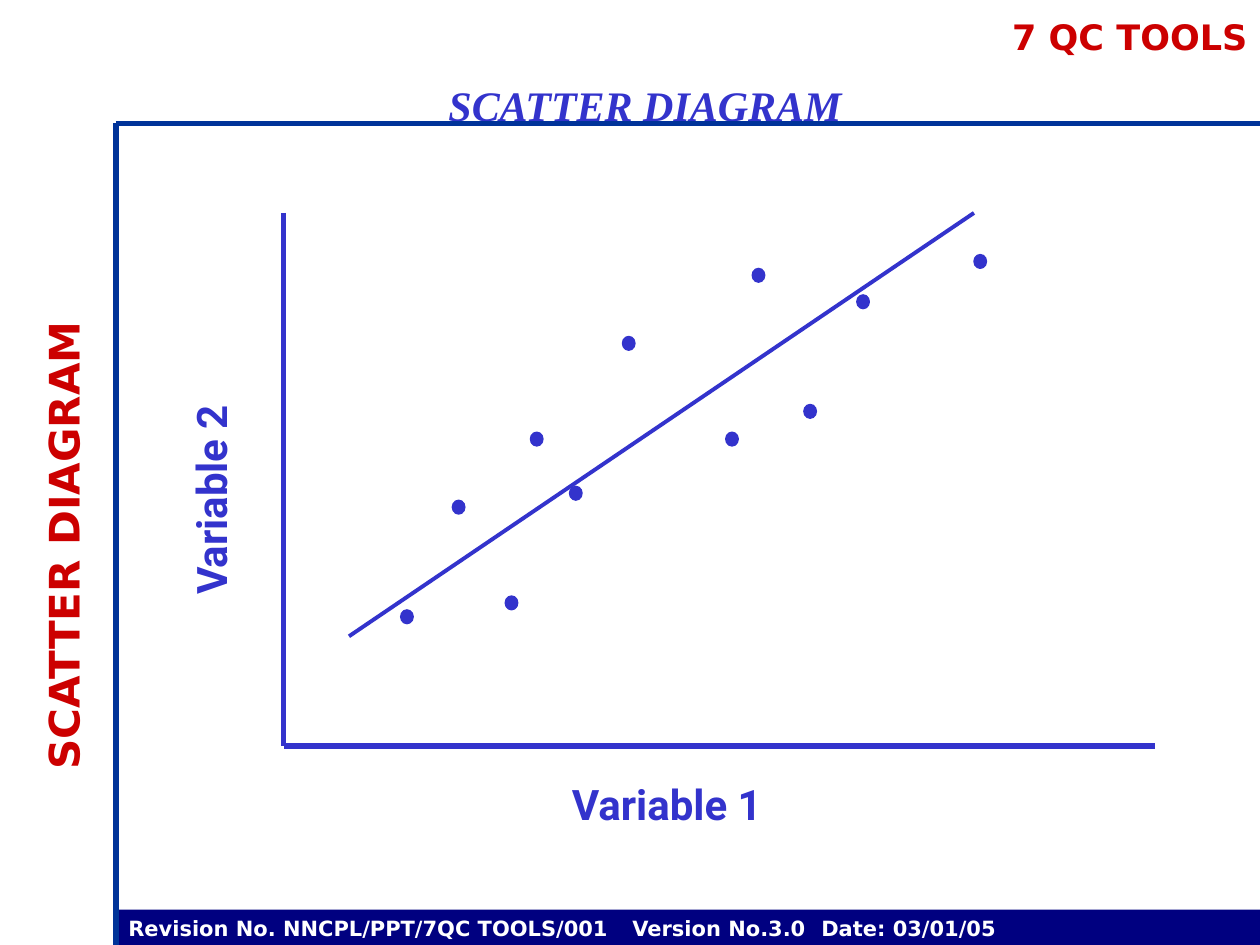
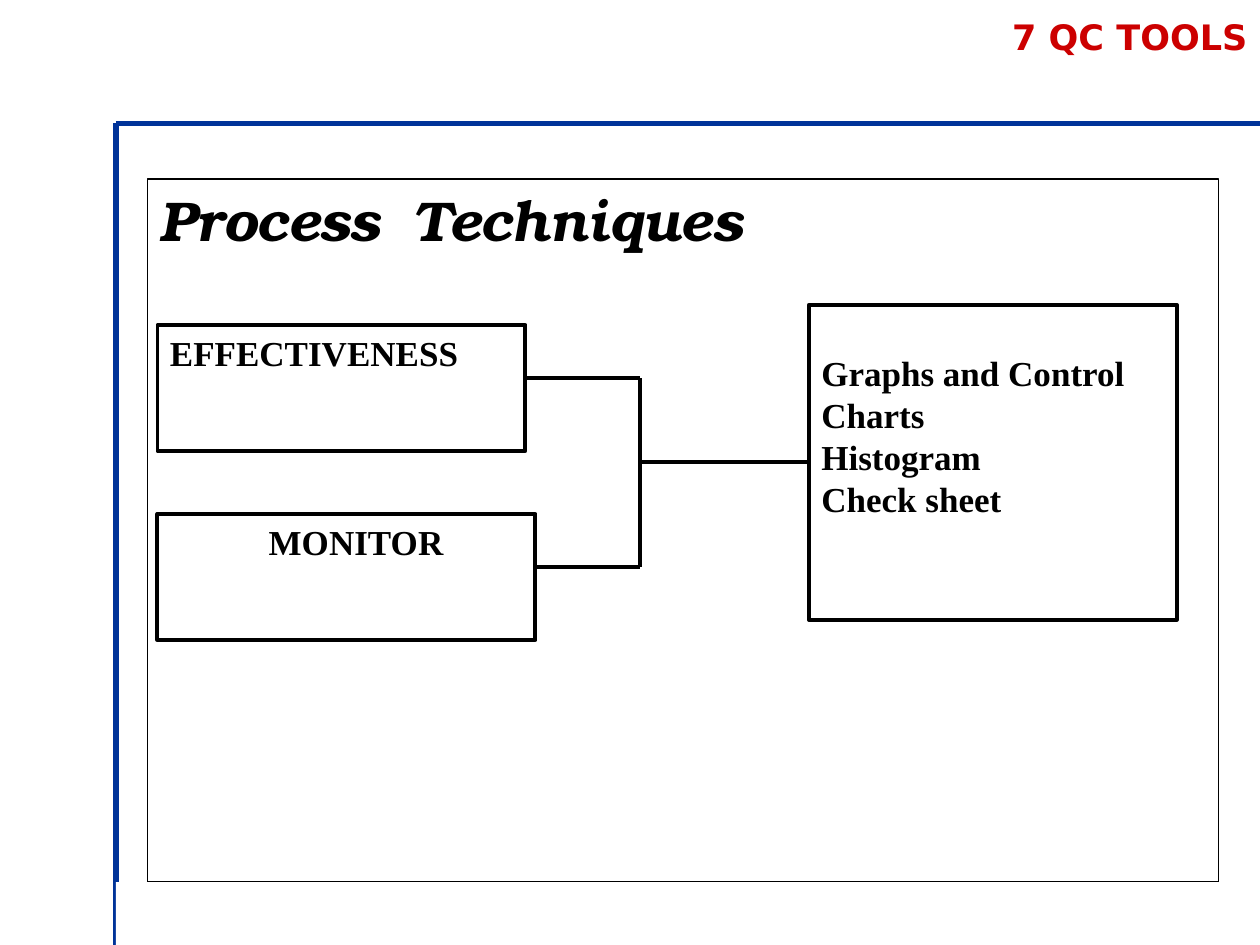
from lxml.etree import SubElement
from pptx import Presentation
from pptx.dml.color import RGBColor
from pptx.enum.shapes import MSO_CONNECTOR, MSO_SHAPE
from pptx.enum.text import MSO_ANCHOR, MSO_AUTO_SIZE, PP_ALIGN
from pptx.oxml.ns import qn
from pptx.util import Pt

PX = 9144  # 100 px to the inch
NAVY, FRAME, RED, BLUE = "000080", "003399", "CC0000", "3333CC"
BLACK, WHITE = "000000", "FFFFFF"
SANS, SERIF, LABEL, HEAD = "DejaVu Sans", "Times New Roman", "Roboto", "TeX Gyre Bonum"
EDGE, TOP, WIDE = 92, 98, 908
LEFT, MID, RIGHT = PP_ALIGN.LEFT, PP_ALIGN.CENTER, PP_ALIGN.RIGHT


def rgb(code):
    return RGBColor.from_string(code)


def emu(*nums):
    return [num * PX for num in nums]


def write(shape, lines, size, font, color, align=LEFT, italic=False,
          tabs=(), left=10, top=5):
    """Fill a shape with bold lines; tabs are px from the text edge."""
    frame = shape.text_frame
    frame.word_wrap = True
    frame.auto_size = MSO_AUTO_SIZE.NONE
    frame.vertical_anchor = MSO_ANCHOR.TOP
    frame.margin_left, frame.margin_top = emu(left, top)
    frame.margin_right, frame.margin_bottom = emu(10, 5)
    for num, line in enumerate(lines):
        para = frame.add_paragraph() if num else frame.paragraphs[0]
        props = para._p.get_or_add_pPr()
        props.set("marL", "0")
        props.set("indent", "0")
        SubElement(props, qn("a:buNone"))
        if tabs:
            stops = SubElement(props, qn("a:tabLst"))
            for tab in tabs:
                SubElement(stops, qn("a:tab"), pos=str(tab * PX), algn="l")
        para.alignment = align
        para.space_before = Pt(0)
        run = para.add_run()
        run.text = line
        face = run.font
        face.name, face.size, face.bold, face.italic = font, Pt(size), True, italic
        face.color.rgb = rgb(color)


def place(shape, box):
    shape.left, shape.top, shape.width, shape.height = emu(*box)


def label(slide, box, text, *style, turn=0, **more):
    shape = slide.shapes.add_textbox(*emu(*box))
    shape.rotation = turn
    write(shape, [text], *style, **more)


def block(slide, box, fill, line=None, weight=2.25, kind=MSO_SHAPE.RECTANGLE):
    shape = slide.shapes.add_shape(kind, *emu(*box))
    shape.shadow.inherit = False
    shape.fill.solid()
    shape.fill.fore_color.rgb = rgb(fill)
    if line:
        shape.line.color.rgb = rgb(line)
        shape.line.width = Pt(weight)
    else:
        shape.line.fill.background()
    return shape


def rule(slide, start, end, color, weight):
    line = slide.shapes.add_connector(MSO_CONNECTOR.STRAIGHT, *emu(*start, *end))
    line.line.color.rgb = rgb(color)
    line.line.width = Pt(weight)
    SubElement(line._element.spPr, qn("a:effectLst"))
    return line


def frame(slide):
    for end in ((EDGE, 757), (EDGE + WIDE, TOP)):
        rule(slide, (EDGE, TOP), end, FRAME, 3)
    label(slide, (775, 7, 225, 44), "7 QC TOOLS", 20, SANS, RED, RIGHT)


def footer(slide, box):
    text = "Revision No. NNCPL/PPT/7QC TOOLS/001\tVersion No.3.0\tDate: 03/01/05"
    write(block(slide, box, NAVY), [text], 12, SANS, WHITE, tabs=(426, 610))


def plot(slide, box):
    """Axes, dots, trend line and axis names of the scatter."""
    x, y, w, h = box
    base = (x, y + h)
    rule(slide, (x, y), base, BLUE, 3)
    rule(slide, base, (x + w, y + h), BLUE, 3)
    dots = [(93, 315), (134, 228), (176, 304), (196, 174), (227, 217), (269, 98),
            (351, 174), (372, 44), (413, 152), (455, 65), (548, 33)]
    for dx, dy in dots:
        block(slide, (x + dx, y + dy, 10, 11), BLUE, BLUE, 0.75, MSO_SHAPE.OVAL)
    rule(slide, (x + 52, y + 336), (x + 548, y), BLUE, 2.25)
    style = 24, LABEL, BLUE
    label(slide, (x + 219, y + h + 21, 186, 50), "Variable 1", *style)
    label(slide, (x - 151, y + 195, 186, 50), "Variable 2", *style, turn=270)


def scatter(deck):
    slide = deck.slides.add_slide(deck.slide_layouts[5])
    footer(slide, (EDGE, 722, WIDE, 30))
    frame(slide)
    plot(slide, (225, 169, 692, 423))
    name = "SCATTER DIAGRAM"
    title = slide.shapes.title
    place(title, (233, 58, 558, 25))
    write(title, [name], 24, SERIF, BLUE, MID, True)
    label(slide, (-250, 408, 600, 50), name, 24, SANS, RED, MID, turn=270)


def tree(slide, box):
    """Two process steps joined to the techniques they use."""
    x, y = box[:2]
    style = 20, SERIF, BLACK
    parts = [
        ((8, 116, 292, 100), ["EFFECTIVENESS"], LEFT, 10, 5),
        ((8, 266, 300, 100), ["MONITOR"], MID, 25, 5),
        ((525, 100, 292, 250),
         ["Graphs and Control Charts", "Histogram", "Check sheet"], LEFT, 10, 37),
    ]
    for (dx, dy, w, h), lines, align, left, top in parts:
        card = block(slide, (x + dx, y + dy, w, h), WHITE, BLACK)
        write(card, lines, *style, align, left=left, top=top)
    stem, high, low = x + 391, y + 158, y + 308
    rule(slide, (x + 300, high), (stem, high), BLACK, 2.25)
    rule(slide, (x + 308, low), (stem, low), BLACK, 2.25)
    rule(slide, (stem, high), (stem, low), BLACK, 2.25)
    link = rule(slide, (stem, y + 225), (x + 525, y + 225), BLACK, 2.25)
    link.end_connect(card, 1)


def process(deck):
    slide = deck.slides.add_slide(deck.slide_layouts[1])
    title = slide.shapes.title._element
    title.getparent().remove(title)
    frame(slide)
    box = (117, 142, 850, 558)
    body = slide.placeholders[1]
    place(body, box)
    body.line.color.rgb = rgb(BLACK)
    body.line.width = Pt(0.75)
    write(body, ["Process\tTechniques"], 32, HEAD, BLACK, italic=True, tabs=(510,))
    tree(slide, box)
    block(slide, (EDGE, 700, WIDE, 51), WHITE)


def main():
    deck = Presentation()
    deck.slide_width, deck.slide_height = emu(1000, 750)
    scatter(deck)
    process(deck)
    deck.save("out.pptx")


if __name__ == "__main__":
    main()
